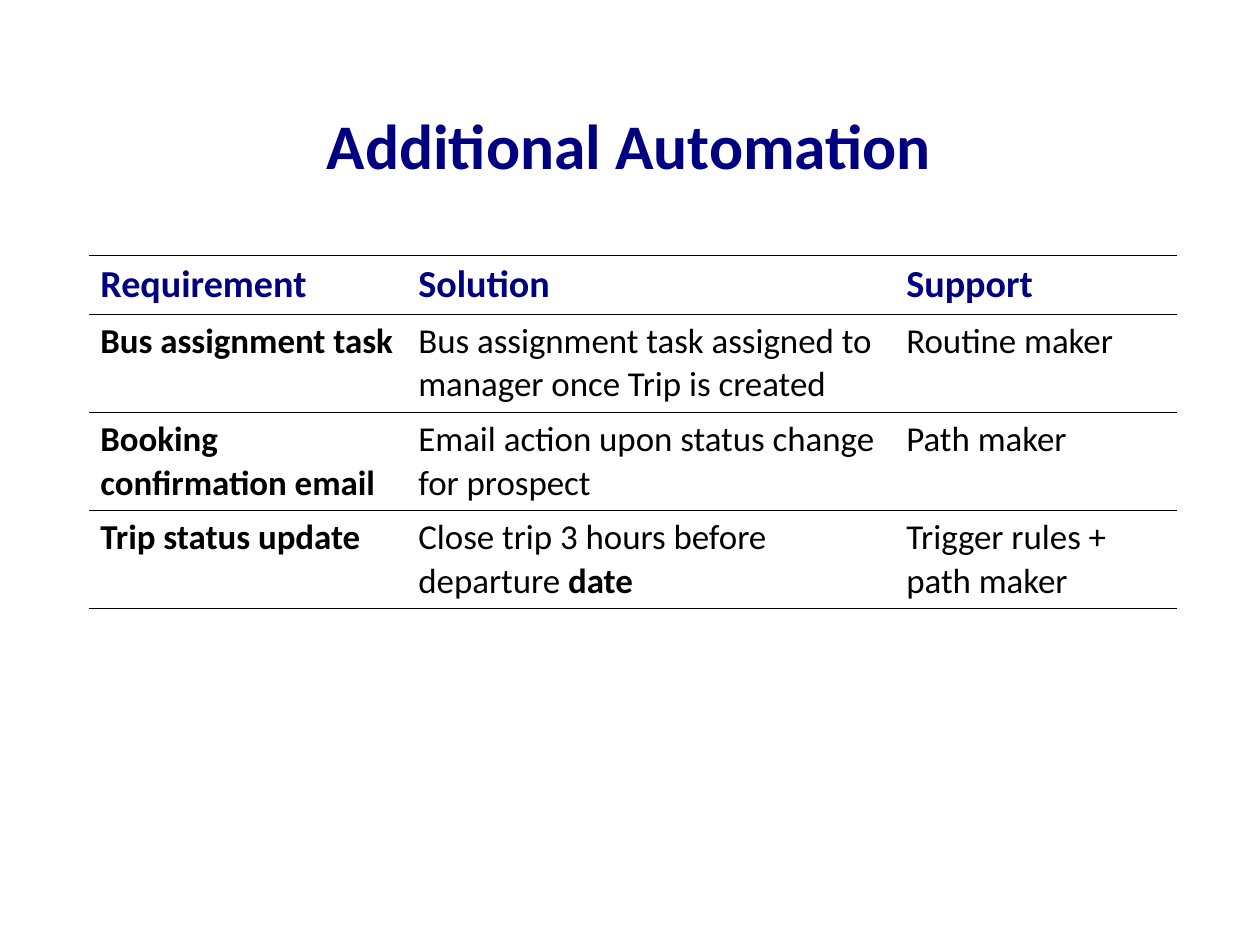
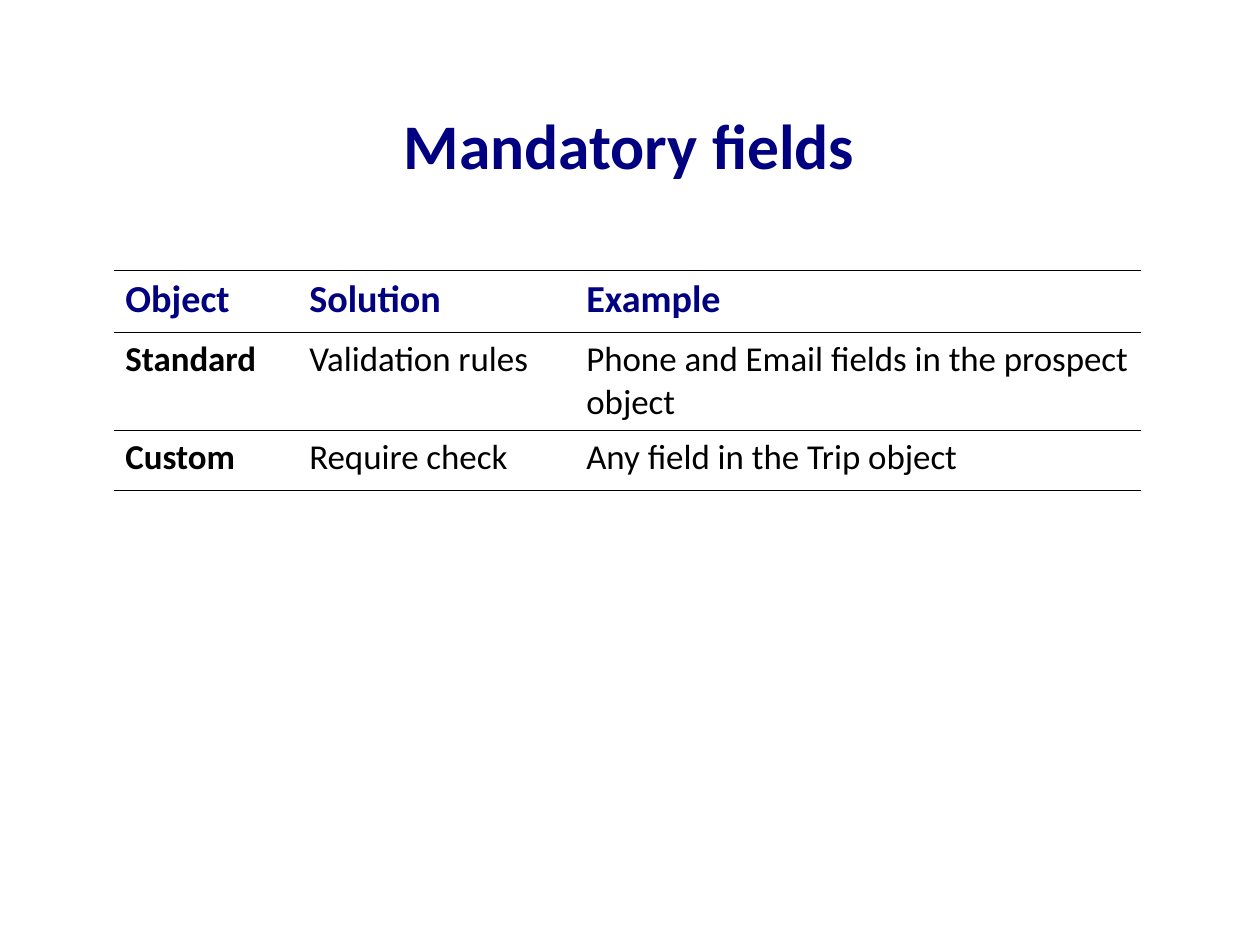
from lxml import etree
from pptx import Presentation
from pptx import util as u
from pptx.dml.color import RGBColor
from pptx.enum import text
from pptx.oxml import ns

PX = 8000  # EMU per pixel
FONT, NAVY, BLACK = "Calibri", "000080", "000000"
LINE_SPACING = 1.02
HAIRLINE = 720  # EMU


def add_run(paragraph, words, size, color, bold):
    paragraph.line_spacing = LINE_SPACING
    run = paragraph.add_run()
    run.text = words
    run.font.name = FONT
    run.font.size = u.Pt(size)
    run.font.bold = bold
    run.font.color.rgb = RGBColor.from_string(color)


def rule_cell(cell):
    """Clear the fill and sides, and rule the top and bottom edges."""
    cell.fill.background()
    properties = cell.fill._xPr
    for place, side in enumerate("LRTB"):
        edge = etree.Element(ns.qn(f"a:ln{side}"), w=str(HAIRLINE))
        if side in "TB":
            fill = etree.SubElement(edge, ns.qn("a:solidFill"))
            etree.SubElement(fill, ns.qn("a:srgbClr"), val=BLACK)
        else:
            etree.SubElement(edge, ns.qn("a:noFill"))
        properties.insert(place, edge)


# Each cell is a list of runs: (words, bold)
topics = [
    dict(
        title="Additional Automation",
        left=89, top=255, columns=[318, 488, 282], heights=[59, 98, 98, 98],
        rows=[
            [[("Requirement", True)], [("Solution", True)], [("Support", True)]],
            [[("Bus assignment task", True)],
             [("Bus assignment task assigned to manager once Trip is created", False)],
             [("Routine maker", False)]],
            [[("Booking confirmation email", True)],
             [("Email action upon status change for prospect", False)],
             [("Path maker", False)]],
            [[("Trip status update", True)],
             [("Close trip 3 hours before departure ", False), ("date", True)],
             [("Trigger rules + path maker", False)]],
        ],
    ),
    dict(
        title="Mandatory fields",
        left=114, top=270, columns=[184, 277, 566], heights=[62, 98, 60],
        rows=[
            [[("Object", True)], [("Solution", True)], [("Example", True)]],
            [[("Standard", True)],
             [("Validation rules", False)],
             [("Phone and Email fields in the prospect object", False)]],
            [[("Custom", True)],
             [("Require check", False)],
             [("Any field in the Trip object", False)]],
        ],
    ),
]

deck = Presentation()
deck.slide_width, deck.slide_height = 1260 * PX, 945 * PX

# Shared title position, set on the layout
layout = deck.slide_layouts[5]
heading = layout.placeholders[0]
heading.left, heading.top, heading.width, heading.height = (
    n * PX for n in (62, 64, 1134, 158))

for topic in topics:
    slide = deck.slides.add_slide(layout)

    # Title
    frame = slide.shapes.title.text_frame
    frame.margin_left = frame.margin_right = frame.margin_top = frame.margin_bottom = 0
    frame.vertical_anchor = text.MSO_ANCHOR.MIDDLE
    frame.auto_size = text.MSO_AUTO_SIZE.NONE
    frame.paragraphs[0].alignment = text.PP_ALIGN.CENTER
    add_run(frame.paragraphs[0], topic["title"], 40, NAVY, True)

    # Table
    rows, columns, heights = topic["rows"], topic["columns"], topic["heights"]
    table = slide.shapes.add_table(
        len(rows), len(columns), topic["left"] * PX, topic["top"] * PX,
        sum(columns) * PX, sum(heights) * PX).table
    table.first_row = table.horz_banding = False
    for column, width in zip(table.columns, columns):
        column.width = width * PX
    for r, (cells, height) in enumerate(zip(rows, heights)):
        table.rows[r].height = height * PX
        size, color = (22, BLACK) if r else (24, NAVY)
        for c, runs in enumerate(cells):
            cell = table.cell(r, c)
            rule_cell(cell)
            for words, bold in runs:
                add_run(cell.text_frame.paragraphs[0], words, size, color, bold)

deck.save("out.pptx")
